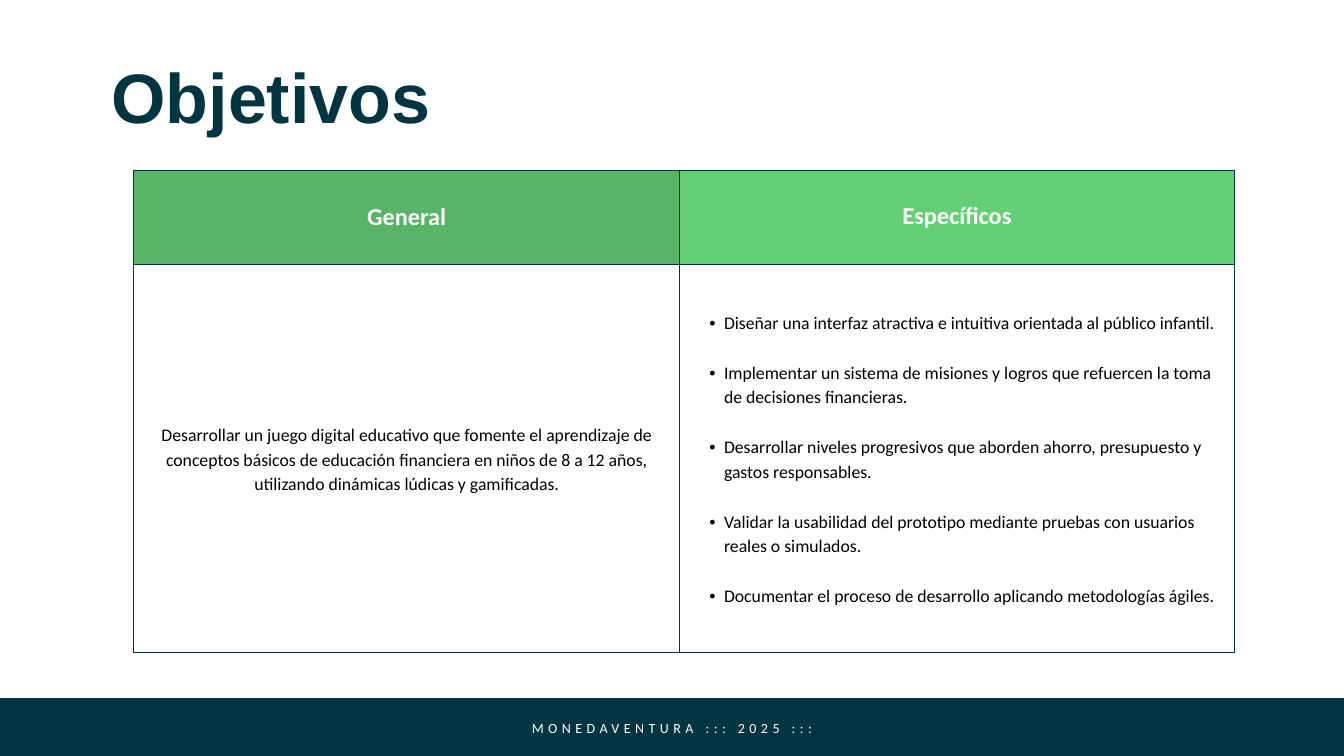
from dataclasses import dataclass

from lxml.etree import SubElement
from pptx import Presentation
from pptx.dml.color import RGBColor
from pptx.enum.shapes import MSO_SHAPE
from pptx.enum.text import MSO_ANCHOR, MSO_AUTO_SIZE, PP_ALIGN
from pptx.oxml.ns import qn
from pptx.util import Inches, Pt


@dataclass(frozen=True)
class Theme:
    navy: str = "013542"
    green: str = "59B467"
    light_green: str = "64D075"
    white: str = "FFFFFF"
    black: str = "000000"
    head_font: str = "Arial"
    body_font: str = "Calibri"
    title: int = 75
    head: int = 26
    body: int = 19
    footer: int = 15
    border: float = 1.5


T = Theme()
W, H = 20, 11.25
GENERAL = ("Desarrollar un juego digital educativo que fomente el aprendizaje de "
           "conceptos básicos de educación financiera en niños de 8 a 12 años, "
           "utilizando dinámicas lúdicas y gamificadas.")
SPECIFIC = [
    "Diseñar una interfaz atractiva e intuitiva orientada al público infantil.",
    "Implementar un sistema de misiones y logros que refuercen la toma de decisiones financieras.",
    "Desarrollar niveles progresivos que aborden ahorro, presupuesto y gastos responsables.",
    "Validar la usabilidad del prototipo mediante pruebas con usuarios reales o simulados.",
    "Documentar el proceso de desarrollo aplicando metodologías ágiles.",
]


def apply(obj, values):
    for name, value in values.items():
        setattr(obj, name, value)


def place(sp, box):
    apply(sp, dict(zip(("left", "top", "width", "height"), map(Inches, box))))


def margins(obj, size):
    apply(obj, {f"margin_{side}": Inches(size) for side in ("left", "top", "right", "bottom")})


def write(p, text, size, color, font=T.body_font, bold=False, **layout):
    apply(p, layout)
    r = p.add_run()
    r.text = text
    apply(r.font, {"name": font, "size": Pt(size), "bold": bold})
    r.font.color.rgb = RGBColor.from_string(color)
    return r


def add_bullet(p, indent, hanging):
    pPr = p._p.get_or_add_pPr()
    pPr.set("marL", str(Inches(indent)))
    pPr.set("indent", str(-Inches(hanging)))
    SubElement(pPr, qn("a:buFont"), typeface="Arial")
    SubElement(pPr, qn("a:buChar"), char="•")


def add_borders(cell):
    tcPr = cell._tc.get_or_add_tcPr()
    for side in "LRTB":
        ln = SubElement(tcPr, qn(f"a:ln{side}"), w=str(Pt(T.border)))
        SubElement(SubElement(ln, qn("a:solidFill")), qn("a:srgbClr"), val=T.navy)


def add_title(s, box, text):
    sp = s.shapes.title
    place(sp, box)
    tf = sp.text_frame
    margins(tf, 0)
    apply(tf, {"word_wrap": True, "vertical_anchor": MSO_ANCHOR.TOP,
               "auto_size": MSO_AUTO_SIZE.SHAPE_TO_FIT_TEXT})
    write(tf.paragraphs[0], text, T.title, T.navy, T.head_font, True,
          alignment=PP_ALIGN.LEFT, line_spacing=Pt(84))


def add_objectives(s, box, col_shares, row_shares):
    left, top, width, height = box
    tbl = s.shapes.add_table(2, 2, *map(Inches, box)).table
    apply(tbl, {"first_row": False, "horz_banding": False})
    for col, share in zip(tbl.columns, col_shares):
        col.width = Inches(width * share)
    for row, share in zip(tbl.rows, row_shares):
        row.height = Inches(height * share)
    for cell in tbl.iter_cells():
        margins(cell, 0.21)
        cell.vertical_anchor = MSO_ANCHOR.MIDDLE
        add_borders(cell)
        cell.fill.background()

    heads = (("General", T.green, 31.7), ("Específicos", T.light_green, 29.1))
    for i, (text, color, spacing) in enumerate(heads):
        cell = tbl.cell(0, i)
        cell.fill.solid()
        cell.fill.fore_color.rgb = RGBColor.from_string(color)
        write(cell.text_frame.paragraphs[0], text, T.head, T.white, bold=True,
              alignment=PP_ALIGN.CENTER, line_spacing=Pt(spacing))

    spacing = Pt(26.6)
    write(tbl.cell(1, 0).text_frame.paragraphs[0], GENERAL, T.body, T.black,
          alignment=PP_ALIGN.CENTER, line_spacing=spacing)
    tf = tbl.cell(1, 1).text_frame
    for i, text in enumerate(SPECIFIC):
        p = tf.add_paragraph() if i else tf.paragraphs[0]
        add_bullet(p, 0.45, 0.22)
        write(p, text, T.body, T.black, level=1, alignment=PP_ALIGN.LEFT,
              line_spacing=spacing, space_before=spacing if i else Pt(0))


def add_footer(s, box, text):
    left, top, width, height = box
    bar = s.shapes.add_shape(MSO_SHAPE.RECTANGLE, *map(Inches, box))
    bar.shadow.inherit = False
    bar.fill.solid()
    bar.fill.fore_color.rgb = RGBColor.from_string(T.navy)
    bar.line.fill.background()
    inset = height * 0.05
    label = s.shapes.add_textbox(*map(Inches, (left, top + inset, width, height - inset)))
    tf = label.text_frame
    margins(tf, 0.06)
    apply(tf, {"word_wrap": True, "vertical_anchor": MSO_ANCHOR.MIDDLE})
    r = write(tf.paragraphs[0], text, T.footer, T.white,
              alignment=PP_ALIGN.CENTER, line_spacing=Pt(16))
    r._r.get_or_add_rPr().set("spc", "480")


def main():
    prs = Presentation()
    apply(prs, {"slide_width": Inches(W), "slide_height": Inches(H)})
    s = prs.slides.add_slide(prs.slide_layouts[5])
    bleed, bar = 0.56, 0.86
    add_footer(s, (-bleed, H - bar, W + 2 * bleed, bar), "MONEDAVENTURA ::: 2025 :::")
    add_objectives(s, (1.99, 2.54, 16.38, 7.17), (0.496, 0.504), (0.194, 0.806))
    add_title(s, (1.66, 0.88, 15.3, 1.2), "Objetivos")
    prs.save("out.pptx")


if __name__ == "__main__":
    main()
